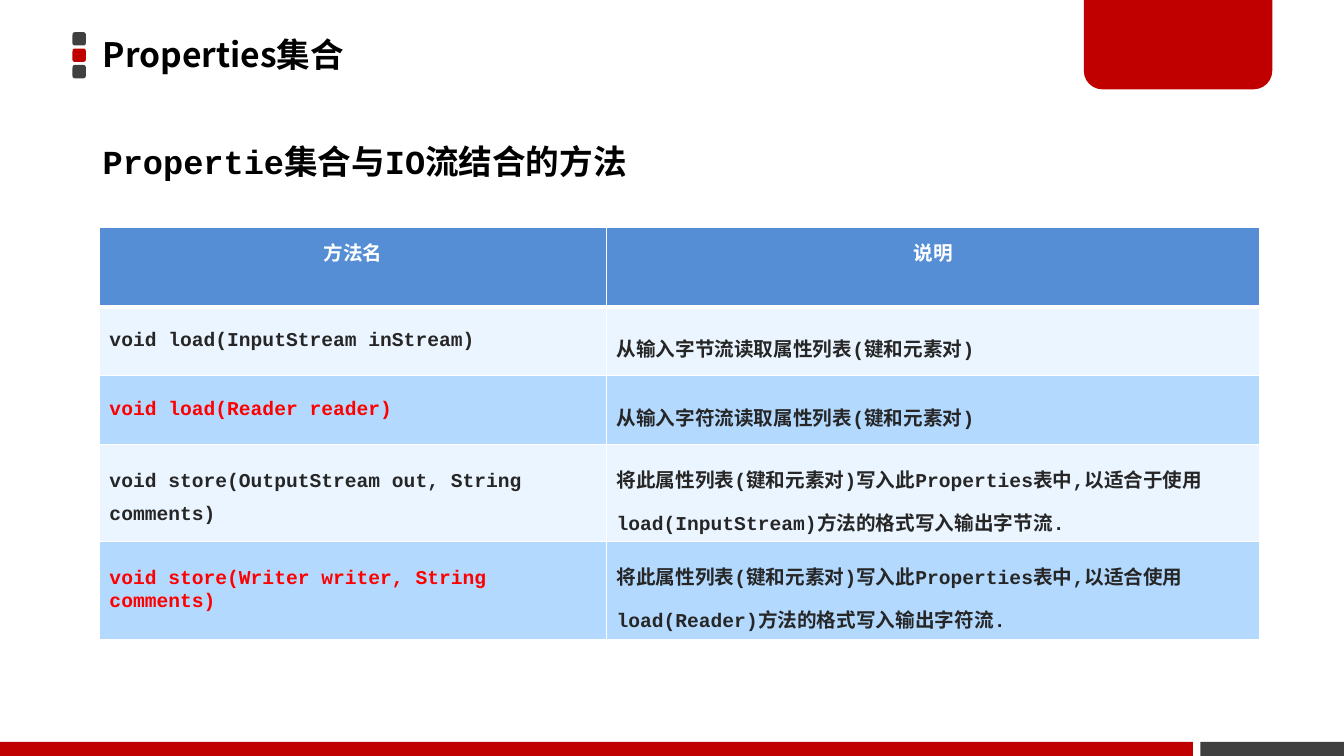
from lxml import etree
from pptx import Presentation, util as u
from pptx.dml.color import RGBColor
from pptx.enum import shapes, text
from pptx.oxml import ns

Pt = u.Pt
RED, GRAY, WHITE, BLACK, INK = "C00000", "404040", "FFFFFF", "000000", "262626"
HEADER_BLUE, ROW_BLUES = "558ED5", ("EBF5FF", "B3D9FF")
HIGHLIGHT = "FF0000"
CODE_FONT, TITLE_FONT, CJK_FONT = "Courier New", "Noto Sans CJK JP", "Noto Sans CJK SC"

HEADERS = ("方法名", "说明")
METHODS = (
    ("void load(InputStream inStream)", INK, None,
     "从输入字节流读取属性列表(键和元素对)"),
    ("void load(Reader reader)", HIGHLIGHT, None,
     "从输入字符流读取属性列表(键和元素对)"),
    ("void store(OutputStream out, String comments)", INK, 1.5,
     "将此属性列表(键和元素对)写入此Properties表中,以适合于使用 "
     "load(InputStream)方法的格式写入输出字节流."),
    ("void store(Writer writer, String comments)", HIGHLIGHT, None,
     "将此属性列表(键和元素对)写入此Properties表中,以适合使用 "
     "load(Reader)方法的格式写入输出字符流."),
)
COLUMN_WIDTHS = (362.2, 466.6)
ROW_HEIGHTS = (56.6, 49, 49, 69.8, 69.8)


def color(hex_code):
    return RGBColor.from_string(hex_code)


def write(frame, words, size, latin, hex_code, spacing=None, align=text.PP_ALIGN.LEFT):
    frame.text = words
    paragraph = frame.paragraphs[0]
    paragraph.alignment = align
    if spacing:
        paragraph.line_spacing = spacing
    for run in paragraph.runs:
        run.font.size = Pt(size)
        run.font.bold = True
        run.font.name = latin
        run.font.color.rgb = color(hex_code)
        east_asian = TITLE_FONT if latin == TITLE_FONT else CJK_FONT
        etree.SubElement(run.font._element, ns.qn("a:ea"), typeface=east_asian)


def add_block(slide, preset, left, top, width, height, hex_code):
    block = slide.shapes.add_shape(preset, Pt(left), Pt(top), Pt(width), Pt(height))
    block.shadow.inherit = False
    block.fill.solid()
    block.fill.fore_color.rgb = color(hex_code)
    block.line.fill.background()
    return block


def add_decoration(slide):
    kinds = shapes.MSO_SHAPE
    for index, hex_code in enumerate((GRAY, RED, GRAY)):
        add_block(slide, kinds.ROUNDED_RECTANGLE, 51.8, 23 + 11.7 * index, 9.5, 9.5, hex_code)
    add_block(slide, kinds.RECTANGLE, 857.5, 530, 102.5, 10, GRAY)
    tab = add_block(slide, kinds.ROUND_2_SAME_RECTANGLE, 774.2, -2, 134.6, 65.8, RED)
    tab.adjustments[0], tab.adjustments[1] = 0, 0.2
    add_block(slide, kinds.RECTANGLE, 0, 530, 852, 10, RED)


def add_heading(slide):
    title = slide.shapes.title
    title.left, title.top, title.width, title.height = Pt(66.2), Pt(-2), Pt(565), Pt(85)
    title.text_frame.vertical_anchor = text.MSO_ANCHOR.MIDDLE
    write(title.text_frame, "Properties集合", 24, TITLE_FONT, BLACK, 0.9)

    subtitle = slide.shapes.add_textbox(Pt(66.2), Pt(82.8), Pt(480), Pt(46.8))
    subtitle.text_frame.word_wrap = True
    write(subtitle.text_frame, "Propertie集合与IO流结合的方法", 24, CODE_FONT, BLACK, 1.5)


def set_borders(cell, top, bottom):
    properties = cell._tc.get_or_add_tcPr()
    edges = (("L", 1), ("R", 1), ("T", top), ("B", bottom))
    for index, (side, width) in enumerate(edges):
        edge = etree.Element(ns.qn(f"a:ln{side}"), w=str(Pt(width)))
        fill = etree.SubElement(edge, ns.qn("a:solidFill"))
        etree.SubElement(fill, ns.qn("a:srgbClr"), val=WHITE)
        properties.insert(index, edge)


def style_cell(cell, hex_code, anchor, top=1, bottom=1):
    cell.fill.solid()
    cell.fill.fore_color.rgb = color(hex_code)
    cell.vertical_anchor = anchor
    set_borders(cell, top, bottom)


def add_method_table(slide):
    table = slide.shapes.add_table(
        len(ROW_HEIGHTS), len(COLUMN_WIDTHS), Pt(71), Pt(162.7),
        Pt(sum(COLUMN_WIDTHS)), Pt(sum(ROW_HEIGHTS))).table
    for column, width in zip(table.columns, COLUMN_WIDTHS):
        column.width = Pt(width)
    for row, height in zip(table.rows, ROW_HEIGHTS):
        row.height = Pt(height)

    for column, header in enumerate(HEADERS):
        cell = table.cell(0, column)
        write(cell.text_frame, header, 14, CJK_FONT, WHITE, Pt(24), text.PP_ALIGN.CENTER)
        style_cell(cell, HEADER_BLUE, text.MSO_ANCHOR.TOP, bottom=3)

    for row, (signature, ink, spacing, description) in enumerate(METHODS, 1):
        signature_cell, description_cell = table.cell(row, 0), table.cell(row, 1)
        write(signature_cell.text_frame, signature, 14, CODE_FONT, ink, spacing)
        write(description_cell.text_frame, description, 14, CODE_FONT, INK, 1.5)
        for cell in (signature_cell, description_cell):
            style_cell(cell, ROW_BLUES[(row - 1) % 2], text.MSO_ANCHOR.MIDDLE,
                       top=3 if row == 1 else 1)


def main():
    deck = Presentation()
    deck.slide_width, deck.slide_height = Pt(960), Pt(540)
    slide = deck.slides.add_slide(deck.slide_layouts[5])
    add_decoration(slide)
    add_heading(slide)
    add_method_table(slide)
    deck.save("out.pptx")


if __name__ == "__main__":
    main()
